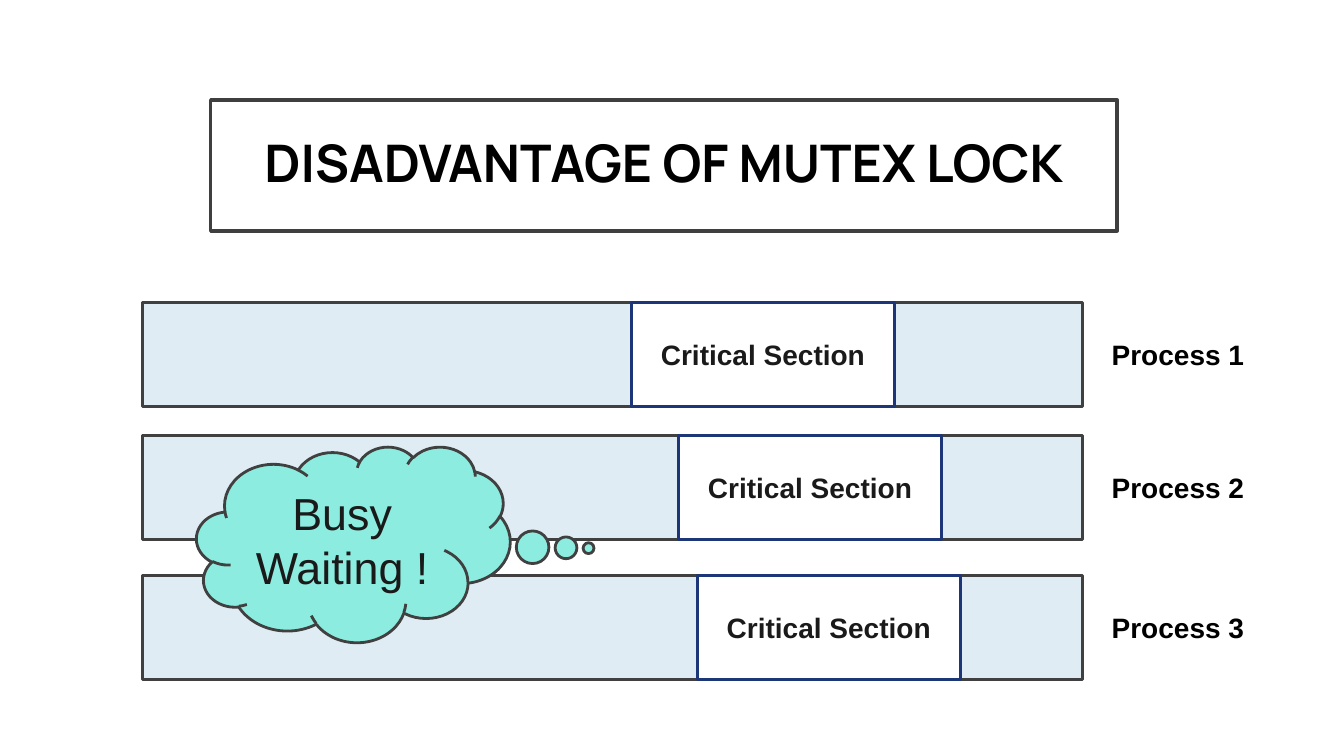
import dataclasses

import pptx
import pptx.dml.color
import pptx.enum.shapes
import pptx.enum.text
import pptx.util

SHAPES = pptx.enum.shapes.MSO_SHAPE
ALIGN = pptx.enum.text.PP_ALIGN
ANCHOR = pptx.enum.text.MSO_ANCHOR
AUTO_SIZE = pptx.enum.text.MSO_AUTO_SIZE


@dataclasses.dataclass(frozen=True)
class Theme:
    white: str = "FFFFFF"
    black: str = "000000"
    ink: str = "1A1A1A"
    title_edge: str = "3F3F3F"
    edge: str = "404040"
    bar: str = "E0ECF3"
    section_edge: str = "1C3678"
    cloud: str = "8CECDF"
    title_font: str = "Manrope"
    body_font: str = "Arial"
    title_size: int = 37
    label_size: int = 20
    cloud_size: int = 32
    title_line: float = 2.5
    line: float = 2


THEME = Theme()


@dataclasses.dataclass(frozen=True)
class Box:
    """An area in inches; area() cuts out a box given in shares of it."""
    left: float
    top: float
    width: float
    height: float

    def area(self, x, y, w, h):
        return Box(self.left + x * self.width, self.top + y * self.height,
                   w * self.width, h * self.height)

    def lengths(self):
        return [pptx.util.Inches(v)
                for v in (self.left, self.top, self.width, self.height)]


SLIDE = Box(0, 0, 13.33, 7.5)

# Row tops in inches, critical section starts as shares of the row
PROCESSES = [
    ("Process 1", 3, 0.52),
    ("Process 2", 4.32, 0.57),
    ("Process 3", 5.71, 0.59),
]


def rgb(value):
    return pptx.dml.color.RGBColor.from_string(value)


def set_all(target, values):
    for name, value in values.items():
        setattr(target, name, value)


def paint(shape, fill, edge, weight):
    shape.fill.solid()
    shape.fill.fore_color.rgb = rgb(fill)
    shape.line.color.rgb = rgb(edge)
    shape.line.width = pptx.util.Pt(weight)


def write(shape, text, size, color, font=THEME.body_font, bold=True,
          align=ALIGN.CENTER, anchor=ANCHOR.MIDDLE, inset=(0.1, 0.05),
          auto_size=AUTO_SIZE.NONE, spacing=None):
    side, end = (pptx.util.Inches(v) for v in inset)
    frame = shape.text_frame
    frame.text = text
    set_all(frame, {
        "word_wrap": True, "auto_size": auto_size, "vertical_anchor": anchor,
        "margin_left": side, "margin_right": side,
        "margin_top": end, "margin_bottom": end,
    })
    paragraph = frame.paragraphs[0]
    set_all(paragraph, {"alignment": align, "line_spacing": spacing})
    run_font = paragraph.runs[0].font
    set_all(run_font, {"name": font, "size": pptx.util.Pt(size), "bold": bold})
    run_font.color.rgb = rgb(color)


def add_block(slide, kind, box, fill, edge):
    block = slide.shapes.add_shape(kind, *box.lengths())
    block.shadow.inherit = False
    paint(block, fill, edge, THEME.line)
    return block


def place_title(slide, box):
    title = slide.shapes.title
    set_all(title, dict(zip(("left", "top", "width", "height"), box.lengths())))
    paint(title, THEME.white, THEME.title_edge, THEME.title_line)
    write(title, "DISADVANTAGE OF MUTEX LOCK", THEME.title_size, THEME.black,
          font=THEME.title_font, inset=(0.2, 0.2), spacing=0.9)


def add_process(slide, box, name, section_start):
    # Timeline bar
    add_block(slide, SHAPES.RECTANGLE, box, THEME.bar, THEME.edge)
    # Critical section, over the full height of the bar
    section = add_block(slide, SHAPES.RECTANGLE,
                        box.area(section_start, 0, 0.28, 1),
                        THEME.white, THEME.section_edge)
    write(section, "Critical Section", THEME.label_size, THEME.ink)
    # Name to the right of the bar
    label = slide.shapes.add_textbox(*box.area(1.02, 0.29, 0.17, 0.43).lengths())
    write(label, name, THEME.label_size, THEME.black, align=ALIGN.LEFT,
          anchor=ANCHOR.TOP, auto_size=AUTO_SIZE.SHAPE_TO_FIT_TEXT)


def add_thought(slide, box):
    cloud = add_block(slide, SHAPES.CLOUD_CALLOUT, box, THEME.cloud, THEME.edge)
    # Bubbles trail off to the right
    cloud.adjustments[0] = 0.75
    cloud.adjustments[1] = 0.02
    write(cloud, "Busy Waiting !", THEME.cloud_size, THEME.ink, bold=False)


def main():
    deck = pptx.Presentation()
    deck.slide_width = pptx.util.Inches(SLIDE.width)
    deck.slide_height = pptx.util.Inches(SLIDE.height)
    slide = deck.slides.add_slide(deck.slide_layouts.get_by_name("Title Only"))

    place_title(slide, Box(2.09, 0.99, 8.99, 1.3))
    for name, top, section_start in PROCESSES:
        add_process(slide, Box(1.41, top, 9.33, 1.03), name, section_start)
    add_thought(slide, Box(1.95, 4.43, 3.11, 1.94))

    deck.save("out.pptx")


if __name__ == "__main__":
    main()
